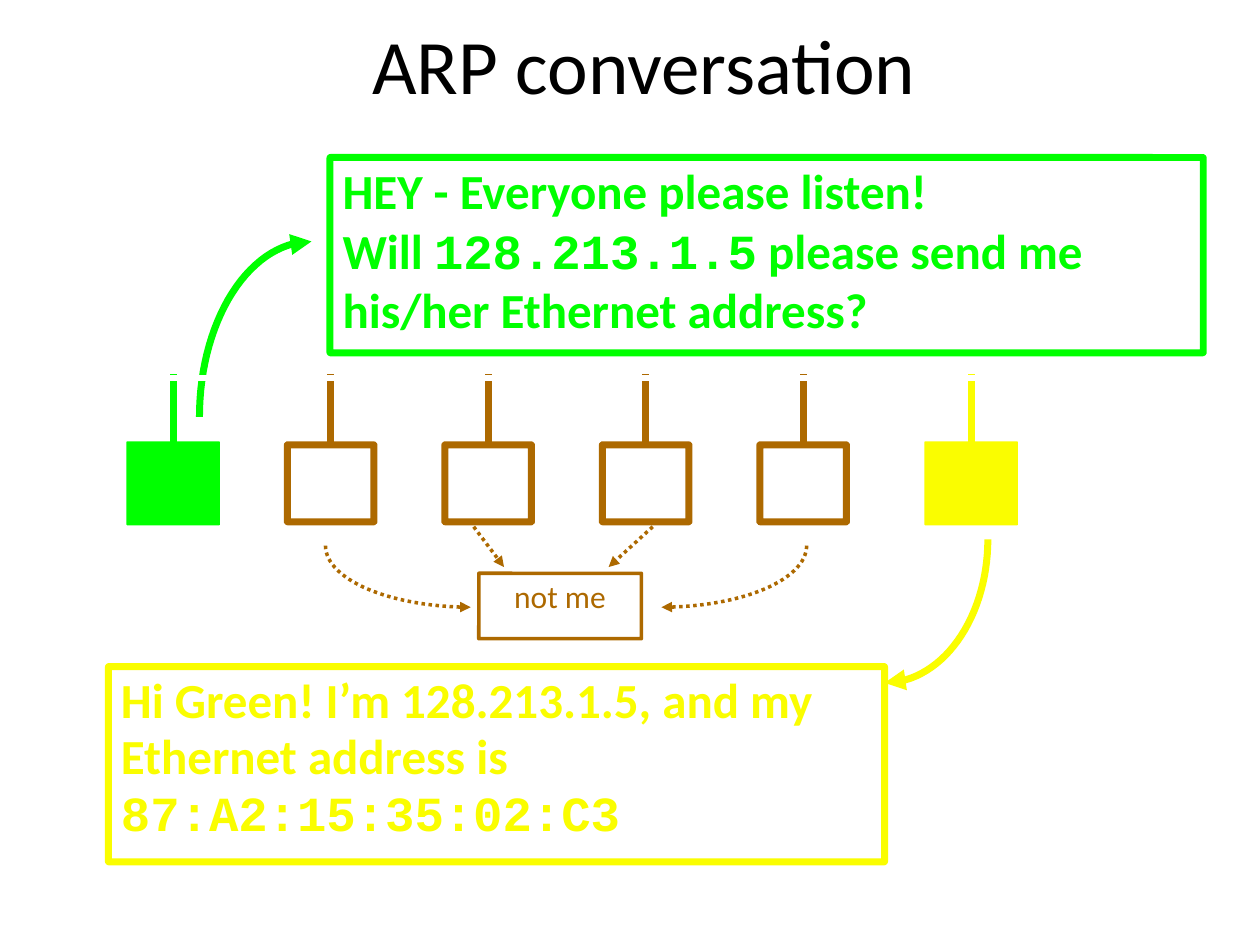
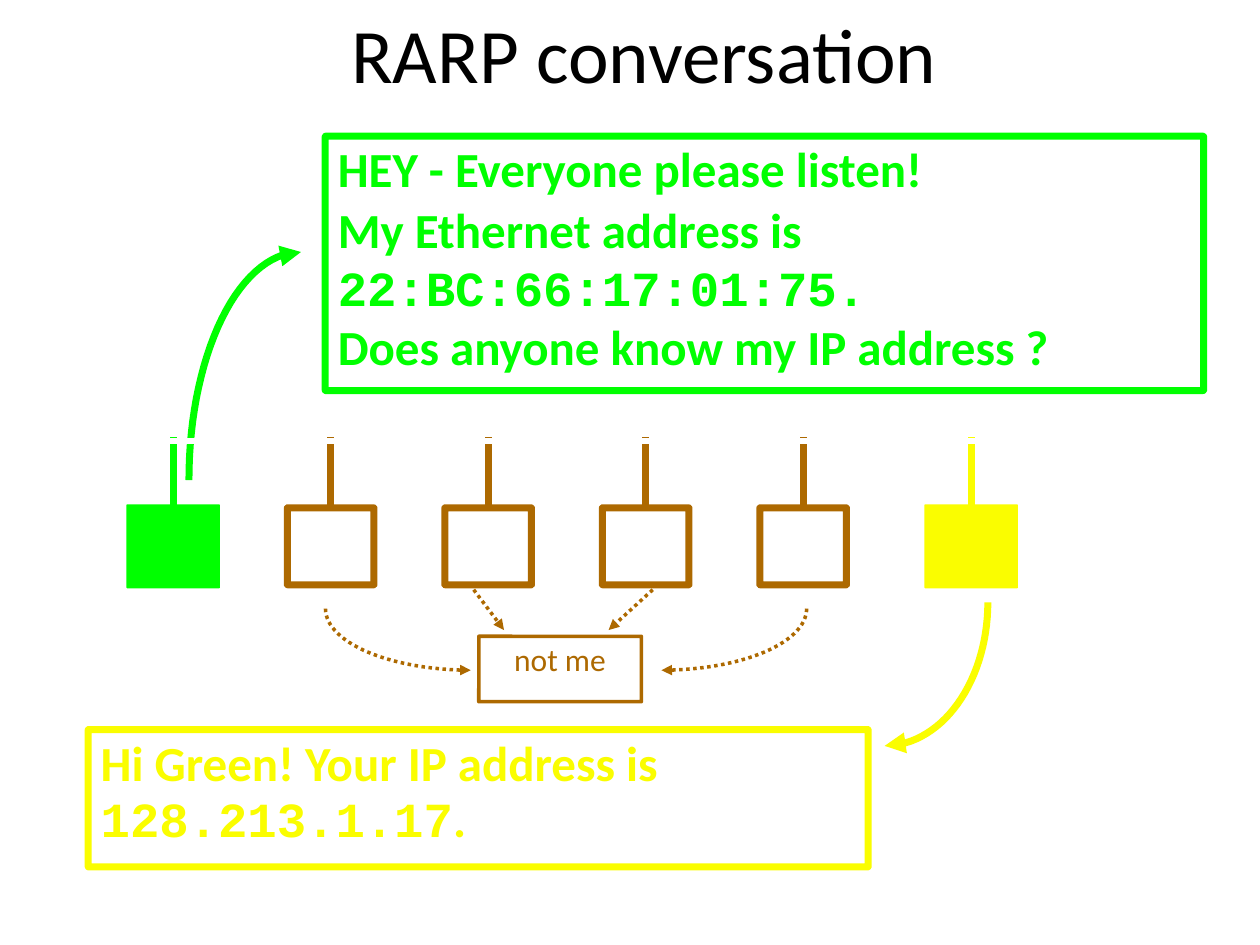
from dataclasses import dataclass
from math import cos, pi, sin
from typing import Any, Optional

from lxml import etree
from pptx import Presentation
from pptx.dml.color import RGBColor
from pptx.enum.dml import MSO_LINE
from pptx.enum.shapes import MSO_CONNECTOR, MSO_SHAPE
from pptx.enum.text import MSO_ANCHOR, MSO_AUTO_SIZE, PP_ALIGN
from pptx.oxml.ns import qn
from pptx.util import Pt

ROUND = MSO_SHAPE.ROUNDED_RECTANGLE
STRAIGHT = MSO_CONNECTOR.STRAIGHT
DOTS = MSO_LINE.ROUND_DOT
TOP, MID = MSO_ANCHOR.TOP, MSO_ANCHOR.MIDDLE
LEFT, CENTER = PP_ALIGN.LEFT, PP_ALIGN.CENTER
NO_FIT = MSO_AUTO_SIZE.NONE

GREEN, YELLOW, BROWN = "00FF00", "FAFD00", "AD6900"
WHITE, BLACK = "FFFFFF", "000000"
SANS, MONO = "Calibri", "Courier New"

Spot = tuple[float, float]
Area = tuple[float, float, float, float]
Run = tuple[str, str]

TITLE = {"size": Pt(44), "bold": False}
SPEECH = {"size": Pt(28), "bold": True}
NOTE = {"size": Pt(18), "bold": False}
FRAME = {"word_wrap": True, "auto_size": NO_FIT,
         "margin_left": Pt(7.2), "margin_right": Pt(7.2),
         "margin_top": Pt(3.6), "margin_bottom": Pt(3.6)}
STEPS = 30  # segments in a curve


@dataclass
class Host:
    mid: float
    tint: str
    solid: bool = False


@dataclass
class Box:
    area: Area
    tint: str
    paras: list[list[Run]]
    style: dict[str, Any]
    align: Any = LEFT
    width: float = 4


@dataclass
class Curve:
    start: Spot
    tip: Spot
    tint: str
    width: float = 4
    dash: Any = None


@dataclass
class Talk:
    title: str
    head: Area
    drop: float  # shift of the network down the slide
    ask: Box
    call: Curve
    reply: Box


HOSTS = [Host(99, GREEN, True),
         *[Host(189 + 90 * i, BROWN) for i in range(4)],
         Host(555, YELLOW, True)]

TALKS = [
    Talk("ARP conversation", (62, 10, 612, 57.6), 0,
         Box((188.6, 90, 499, 111.6), GREEN,
             [[("HEY - Everyone please listen!", SANS)],
              [("Will ", SANS), ("128.213.1.5", MONO),
               (" please send me his/her Ethernet address?", SANS)]], SPEECH),
         Curve((114, 238.3), (178, 138), GREEN),
         Box((62, 380.9, 443.5, 111.6), YELLOW,
             [[("Hi Green! I’m 128.213.1.5, and my Ethernet address is ", SANS),
               ("87:A2:15:35:02:C3", MONO)]], SPEECH)),
    Talk("RARP conversation", (62, -0.7, 612, 66.2), 36,
         Box((185.8, 77.8, 502, 145.4), GREEN,
             [[("HEY - Everyone please listen!", SANS)],
              [("My Ethernet address is ", SANS), ("22:BC:66:17:01:75.", MONO)],
              [("Does anyone know my IP address ?", SANS)]], SPEECH),
         Curve((108, 274.3), (172, 144), GREEN),
         Box((50.4, 416.9, 445.7, 78.5), YELLOW,
             [[("Hi Green! Your IP address is ", SANS),
               ("128.213.1.17", MONO), (".", SANS)]], SPEECH)),
]


def shade(code: str) -> RGBColor:
    return RGBColor.from_string(code)


def put(item: Any, values: dict[str, Any]) -> None:
    for name, value in values.items():
        setattr(item, name, value)


def stroke(shape: Any, tint: str, width: float, dash: Any = None,
           arrow: bool = False) -> None:
    shape.line.color.rgb = shade(tint)
    shape.line.width = Pt(width)
    if dash is not None:
        shape.line.dash_style = dash
    if arrow:
        line = shape._element.spPr.find(qn("a:ln"))
        etree.SubElement(line, qn("a:tailEnd"), type="triangle")


def write(frame: Any, paras: list[list[Run]], tint: str, style: dict[str, Any],
          align: Any, anchor: Any) -> None:
    put(frame, {**FRAME, "vertical_anchor": anchor})
    for i, runs in enumerate(paras):
        para = frame.add_paragraph() if i else frame.paragraphs[0]
        put(para, {"alignment": align, "space_before": Pt(0),
                   "line_spacing": 1.0 if i else 0.96})
        for text, face in runs:
            run = para.add_run()
            run.text = text
            put(run.font, {**style, "name": face})
            run.font.color.rgb = shade(tint)


def add_rect(slide: Any, area: Area, tint: str, width: float,
             solid: bool = False) -> Any:
    rect = slide.shapes.add_shape(ROUND, *map(Pt, area))
    rect.adjustments[0] = 0.003
    rect.shadow.inherit = False
    if solid:
        rect.fill.solid()
        rect.fill.fore_color.rgb = shade(tint)
    else:
        rect.fill.background()
    stroke(rect, tint, width)
    return rect


def add_box(slide: Any, box: Box) -> None:
    rect = add_rect(slide, box.area, box.tint, box.width)
    write(rect.text_frame, box.paras, box.tint, box.style, box.align, TOP)


def add_line(slide: Any, start: Spot, end: Spot, tint: str, width: float = 4,
             dash: Any = None, arrow: bool = False) -> None:
    line = slide.shapes.add_connector(STRAIGHT, *map(Pt, start + end))
    stroke(line, tint, width, dash, arrow)
    etree.SubElement(line._element.spPr, qn("a:effectLst"))


def add_curve(slide: Any, curve: Curve) -> None:
    """Quarter ellipse that leaves upright and reaches its tip level."""
    (left, low), (right, high) = curve.start, curve.tip
    turns = [pi / 2 * i / STEPS for i in range(STEPS + 1)]
    spots = [(Pt(right + (left - right) * cos(t)), Pt(low + (high - low) * sin(t)))
             for t in turns]
    form = slide.shapes.build_freeform(*spots[0])
    form.add_line_segments(spots[1:], close=False)
    shape = form.convert_to_shape()
    shape.shadow.inherit = False
    shape.fill.background()
    stroke(shape, curve.tint, curve.width, curve.dash, True)


def add_host(slide: Any, host: Host, drop: float) -> None:
    wide, tall, edge = (52.5, 47, 1) if host.solid else (49.5, 44, 4)
    area = (host.mid - wide / 2, 276.2 + drop - tall / 2, wide, tall)
    add_rect(slide, area, host.tint, edge, host.solid)
    add_line(slide, (host.mid, 254 + drop), (host.mid, 214 + drop), host.tint)


def add_denial(slide: Any, drop: float) -> None:
    add_box(slide, Box((273.6, 327.6 + drop, 92.9, 37.4), BROWN,
                       [[("not me", SANS)]], NOTE, CENTER, 2))
    for start, tip in ((461, 378), (186, 269)):
        add_curve(slide, Curve((start, 311.8 + drop), (tip, 347 + drop),
                               BROWN, 2, DOTS))
    for start, tip in ((270.7, 288), (373, 347.8)):
        add_line(slide, (start, 301 + drop), (tip, 324 + drop),
                 BROWN, 2, DOTS, True)


def add_talk(deck: Any, talk: Talk) -> None:
    slide = deck.slides.add_slide(deck.slide_layouts[5])
    drop = talk.drop
    # Title
    title = slide.shapes.title
    put(title, dict(zip(("left", "top", "width", "height"), map(Pt, talk.head))))
    write(title.text_frame, [[(talk.title, SANS)]], BLACK, TITLE, CENTER, MID)
    # Hosts
    for host in HOSTS:
        add_host(slide, host, drop)
    # Question, then the white bus over its arrow
    add_box(slide, talk.ask)
    add_curve(slide, talk.call)
    add_line(slide, (62, 216 + drop), (628, 216 + drop), WHITE)
    # Answers
    add_denial(slide, drop)
    add_box(slide, talk.reply)
    add_curve(slide, Curve((564.5, 308.2 + drop), (505.5, 390.2 + drop), YELLOW))


def main() -> None:
    deck = Presentation()
    put(deck, {"slide_width": Pt(720), "slide_height": Pt(540)})
    for talk in TALKS:
        add_talk(deck, talk)
    deck.save("out.pptx")


if __name__ == "__main__":
    main()
